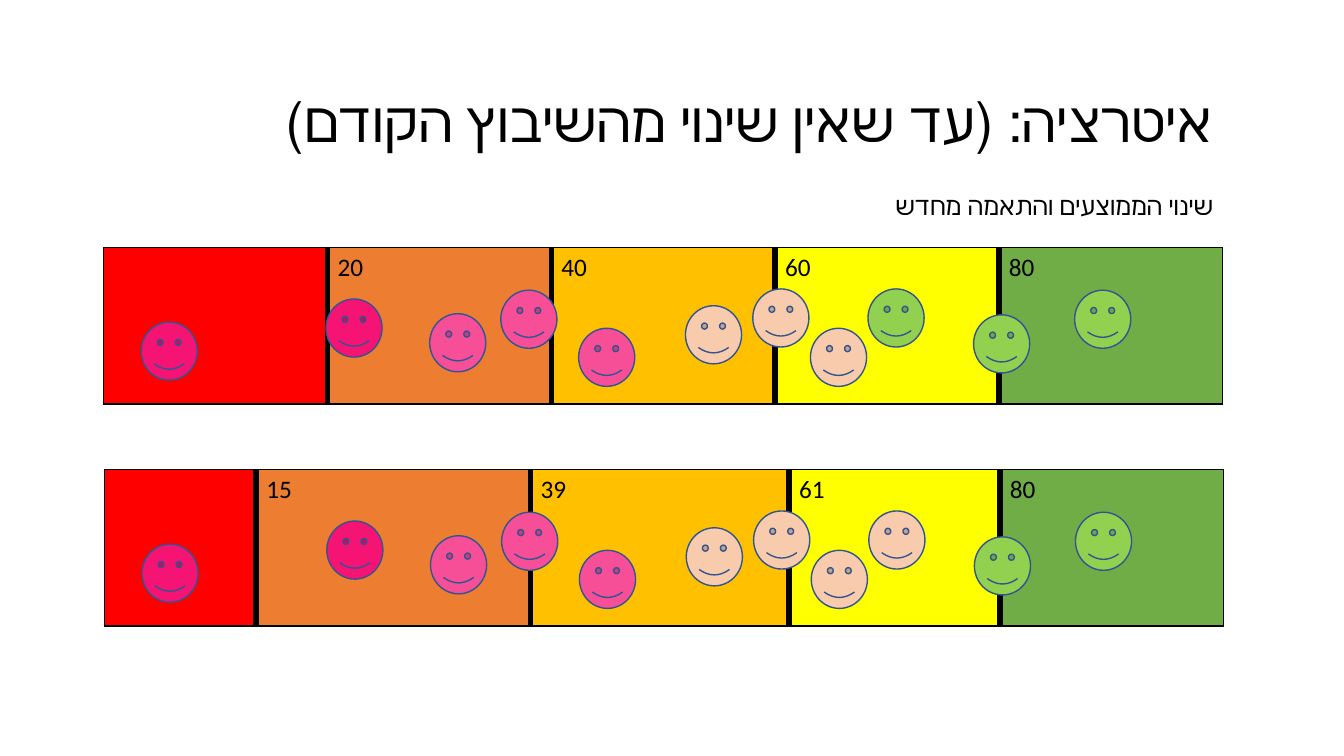
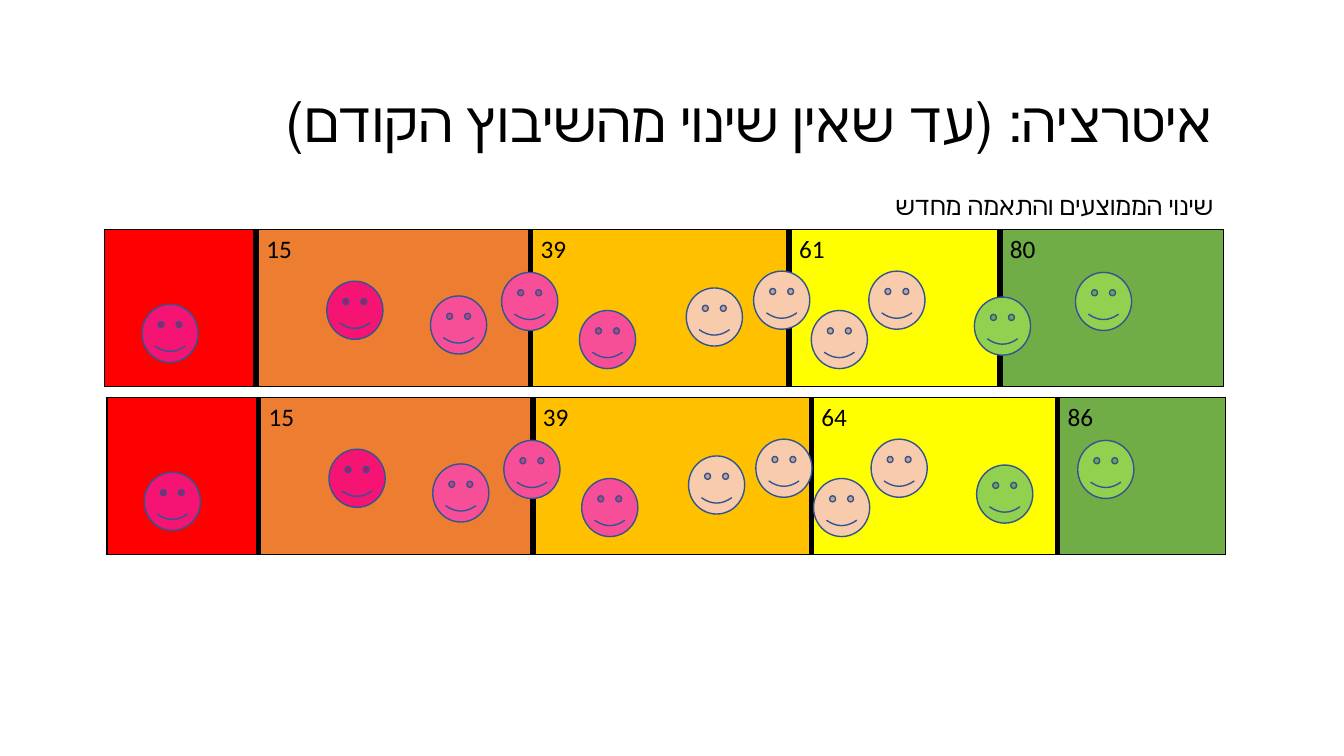
"""Build two slides showing how score bands shift while faces are reassigned."""
from pptx import Presentation
from pptx.dml.color import RGBColor
from pptx.enum.lang import MSO_LANGUAGE_ID
from pptx.enum.shapes import MSO_SHAPE
from pptx.enum.text import MSO_AUTO_SIZE, PP_ALIGN
from pptx.oxml import parse_xml
from pptx.oxml.ns import nsdecls
from pptx.util import Pt

FONT = "Calibri"
BLACK = RGBColor(0x00, 0x00, 0x00)
RED = RGBColor(0xFF, 0x00, 0x00)
ORANGE = RGBColor(0xED, 0x7D, 0x31)
AMBER = RGBColor(0xFF, 0xC0, 0x00)
YELLOW = RGBColor(0xFF, 0xFF, 0x00)
GREEN = RGBColor(0x70, 0xAD, 0x47)
CRIMSON = RGBColor(0xF5, 0x13, 0x74)
PINK = RGBColor(0xF7, 0x4F, 0x97)
PEACH = RGBColor(0xF8, 0xCB, 0xAD)
LIME = RGBColor(0x92, 0xD0, 0x50)
FACE_OUTLINE = RGBColor(0x32, 0x54, 0x91)

TITLE = "איטרציה: (עד שאין שינוי מהשיבוץ הקודם)"
SUBTITLE = "שינוי הממוצעים והתאמה מחדש"

BAND_FILLS = [RED, ORANGE, AMBER, YELLOW, GREEN]
BAND_HEIGHT = 111.6
OUTER_LINE, DIVIDER_LINE = 1, 4.5
FACE_WIDTH, FACE_HEIGHT = 40.1, 41.5

FACES = [
    (158.6, 36.7, CRIMSON),
    (545.8, 29.5, PEACH),
    (504.7, 57.6, PEACH),
    (463.5, 29.5, PEACH),
    (415.4, 41.5, PEACH),
    (26.6, 53.2, CRIMSON),
    (339.1, 57.6, PINK),
    (693.4, 30.4, LIME),
    (283.5, 30.4, PINK),
    (232.7, 47.2, PINK),
    (621.2, 48, LIME),
]
MOVING_FACE = 1
FACES_BEFORE = [
    (x, y, LIME if index == MOVING_FACE else fill)
    for index, (x, y, fill) in enumerate(FACES)
]

EVEN_BANDS = ([159.84] * 5, ["", "20", "40", "60", "80"])
SHIFTED_BANDS = ([108.2, 196, 184.6, 150.6, 159.8], ["", "15", "39", "61", "80"])
FINAL_BANDS = ([108.2, 196, 199, 175.8, 120.2], ["", "15", "39", "64", "86"])

SLIDES = [
    [(74.2, 176.9, EVEN_BANDS, FACES_BEFORE), (74.8, 335.5, SHIFTED_BANDS, FACES)],
    [(74.8, 164.2, SHIFTED_BANDS, FACES), (76.4, 284.2, FINAL_BANDS, FACES)],
]


def style_runs(paragraph, size):
    """Give all runs of a paragraph the shared font, size and colour."""
    for run in paragraph.runs:
        run.font.name = FONT
        run.font.size = Pt(size)
        run.font.color.rgb = BLACK


def add_hebrew_text(slide, text, left, top, width, height, size):
    """Add a right-to-left line of text."""
    frame = slide.shapes.add_textbox(
        Pt(left), Pt(top), Pt(width), Pt(height)).text_frame
    frame.word_wrap = True
    frame.auto_size = MSO_AUTO_SIZE.SHAPE_TO_FIT_TEXT
    frame.text = text
    paragraph = frame.paragraphs[0]
    paragraph.alignment = PP_ALIGN.RIGHT
    paragraph._p.get_or_add_pPr().set("rtl", "1")
    style_runs(paragraph, size)
    for run in paragraph.runs:
        run.font.language_id = MSO_LANGUAGE_ID.HEBREW


def set_borders(cell, left, right):
    """Draw black borders, with the given left and right line widths."""
    sides = {"lnL": left, "lnR": right, "lnT": OUTER_LINE, "lnB": OUTER_LINE}
    properties = cell._tc.get_or_add_tcPr()
    for position, (side, width) in enumerate(sides.items()):
        properties.insert(position, parse_xml(
            f'<a:{side} {nsdecls("a")} w="{Pt(width)}"><a:solidFill>'
            f'<a:srgbClr val="{BLACK}"/></a:solidFill></a:{side}>'))


def add_bands(slide, left, top, widths, bounds):
    """Add a row of coloured bands labelled with their lower bounds."""
    bands = slide.shapes.add_table(
        1, len(widths), Pt(left), Pt(top), Pt(sum(widths)), Pt(BAND_HEIGHT)).table
    bands.first_row = False
    bands.horz_banding = False
    last = len(widths) - 1
    for index, (width, bound, fill) in enumerate(zip(widths, bounds, BAND_FILLS)):
        bands.columns[index].width = Pt(width)
        cell = bands.cell(0, index)
        cell.fill.solid()
        cell.fill.fore_color.rgb = fill
        set_borders(cell,
                    OUTER_LINE if index == 0 else DIVIDER_LINE,
                    OUTER_LINE if index == last else DIVIDER_LINE)
        if bound:
            cell.text_frame.text = bound
            style_runs(cell.text_frame.paragraphs[0], 18)


def add_face(slide, left, top, fill):
    """Add one smiling face."""
    face = slide.shapes.add_shape(
        MSO_SHAPE.SMILEY_FACE, Pt(left), Pt(top), Pt(FACE_WIDTH), Pt(FACE_HEIGHT))
    face.shadow.inherit = False
    face.fill.solid()
    face.fill.fore_color.rgb = fill
    face.line.color.rgb = FACE_OUTLINE
    face.line.width = Pt(1)


def add_stage(slide, left, top, bands, faces):
    """Add a row of bands with the faces placed on it."""
    add_bands(slide, left, top, *bands)
    for x, y, fill in faces:
        add_face(slide, left + x, top + y, fill)


def main():
    """Build and save the presentation."""
    deck = Presentation()
    deck.slide_width, deck.slide_height = Pt(960), Pt(540)
    for stages in SLIDES:
        slide = deck.slides.add_slide(deck.slide_layouts[6])
        add_hebrew_text(slide, TITLE, 175.7, 58.3, 697.7, 55.4, 40)
        add_hebrew_text(slide, SUBTITLE, 80.6, 132.5, 793.2, 28.8, 18)
        for stage in stages:
            add_stage(slide, *stage)
    deck.save("out.pptx")


if __name__ == "__main__":
    main()
